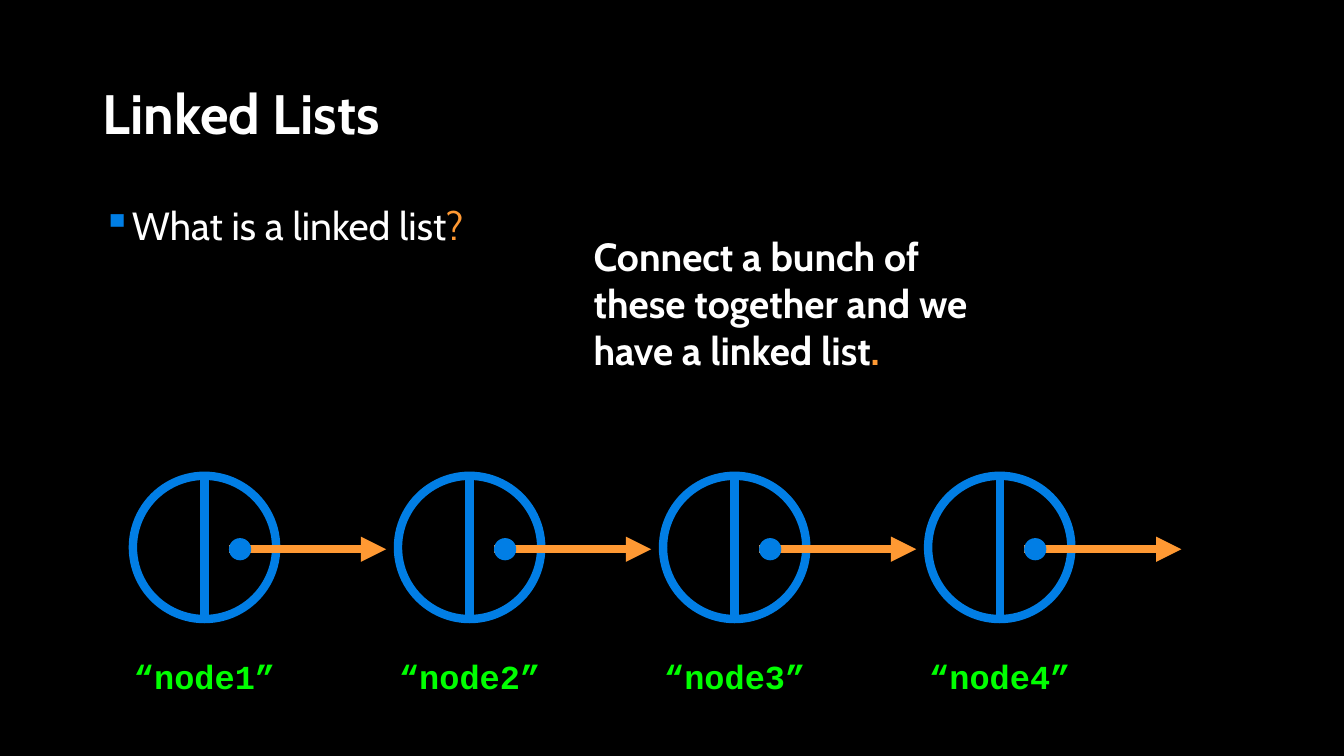
from dataclasses import dataclass

from lxml.etree import SubElement
from pptx import Presentation
from pptx.dml.color import RGBColor
from pptx.enum.shapes import MSO_CONNECTOR, MSO_SHAPE
from pptx.enum.text import MSO_ANCHOR, PP_ALIGN
from pptx.oxml.ns import qn
from pptx.util import Cm, Pt


@dataclass(frozen=True)
class Theme:
    """Colours, fonts and sizes of the slide."""
    background: str = "000000"
    text: str = "FFFFFF"
    accent: str = "FF9933"
    node: str = "017EE5"
    bullet: str = "007EE5"
    label: str = "00FF00"
    font: str = "Cabin"
    code_font: str = "Courier New"
    title_size: float = 39.6
    body_size: float = 28
    label_size: float = 24
    stroke: float = 6


THEME = Theme()


def add_text(slide, box, runs, *, size, font=THEME.font, bold=False, wrap=True,
             anchor=MSO_ANCHOR.TOP, align=PP_ALIGN.LEFT, line_spacing=None):
    """Add a text box of (text, colour) runs and return its paragraph."""
    frame = slide.shapes.add_textbox(*map(Cm, box)).text_frame
    frame.word_wrap = wrap
    frame.vertical_anchor = anchor
    paragraph = frame.paragraphs[0]
    paragraph.alignment = align
    paragraph.line_spacing = line_spacing
    for text, color in runs:
        run = paragraph.add_run()
        run.text = text
        run.font.name = font
        run.font.size = Pt(size)
        run.font.bold = bold
        run.font.color.rgb = RGBColor.from_string(color)
    return paragraph


def add_bullet(paragraph, character, color, indent):
    """Give a paragraph a coloured bullet with a hanging indent."""
    properties = paragraph._p.get_or_add_pPr()
    properties.set("marL", str(Cm(indent)))
    properties.set("indent", str(-Cm(indent)))
    bullet_color = SubElement(properties, qn("a:buClr"))
    SubElement(bullet_color, qn("a:srgbClr")).set("val", color)
    SubElement(properties, qn("a:buChar")).set("char", character)


def add_circle(slide, left, top, diameter, *, fill=None, line=None):
    """Add a circle that is filled or outlined."""
    circle = slide.shapes.add_shape(
        MSO_SHAPE.OVAL, Cm(left), Cm(top), Cm(diameter), Cm(diameter))
    circle.shadow.inherit = False
    if fill:
        circle.fill.solid()
        circle.fill.fore_color.rgb = RGBColor.from_string(fill)
    else:
        circle.fill.background()
    if line:
        circle.line.color.rgb = RGBColor.from_string(line)
        circle.line.width = Pt(THEME.stroke)
    else:
        circle.line.fill.background()


def add_line(slide, start, end, color, arrow=False):
    """Add a straight line, with an arrowhead at its end if asked."""
    connector = slide.shapes.add_connector(
        MSO_CONNECTOR.STRAIGHT, *map(Cm, start + end))
    connector.line.color.rgb = RGBColor.from_string(color)
    connector.line.width = Pt(THEME.stroke)
    if arrow:
        outline = connector.line._get_or_add_ln()
        SubElement(outline, qn("a:tailEnd")).set("type", "triangle")
    SubElement(connector._element.spPr, qn("a:effectLst"))


def add_node(slide, left, top, diameter, name):
    """Draw one list node with its divider, pointer and name."""
    center = left + diameter / 2
    pointer_left, pointer_y = left + 2.42, top + 1.85
    dot = 0.56
    add_circle(slide, left, top, diameter, line=THEME.node)
    add_line(slide, (center, top), (center, top + diameter), THEME.node)
    add_line(slide, (pointer_left, pointer_y), (pointer_left + 3.96, pointer_y),
             THEME.accent, arrow=True)
    add_circle(slide, pointer_left, pointer_y - dot / 2, dot, fill=THEME.node)
    label_width = 4.09
    add_text(slide, (center - label_width / 2, top + 4.42, label_width, 1.27),
             [(f"“{name}”", THEME.label)], size=THEME.label_size,
             font=THEME.code_font, bold=True, wrap=False, align=PP_ALIGN.CENTER)


def add_linked_list(slide, left, top, names, *, diameter=3.61, pitch=6.68):
    """Draw the nodes in a row at an equal pitch."""
    for index, name in enumerate(names):
        add_node(slide, left + index * pitch, top, diameter, name)


def add_heading(slide, left, top, width):
    """Place the title and the question under it."""
    add_text(slide, (left, top, width, 1.83), [("Linked Lists", THEME.text)],
             size=THEME.title_size, bold=True, anchor=MSO_ANCHOR.MIDDLE,
             line_spacing=0.9)
    question = add_text(
        slide, (left, top + 3.05, width, 1.5),
        [("What is a linked list", THEME.text), ("?", THEME.accent)],
        size=THEME.body_size, line_spacing=0.9)
    add_bullet(question, "▪", THEME.bullet, 0.63)


def add_explanation(slide, box):
    """Place the sentence that answers the question."""
    add_text(slide, box,
             [("Connect a bunch of these together and we have a linked list",
               THEME.text), (".", THEME.accent)],
             size=THEME.body_size, bold=True)


def main():
    """Build the slide and save it."""
    presentation = Presentation()
    presentation.slide_width, presentation.slide_height = Cm(33.87), Cm(19.05)
    slide = presentation.slides.add_slide(presentation.slide_layouts[6])
    slide.background.fill.solid()
    slide.background.fill.fore_color.rgb = RGBColor.from_string(THEME.background)
    add_heading(slide, 2.34, 2.03, 29.21)
    add_explanation(slide, (14.71, 5.72, 11, 3.84))
    add_linked_list(slide, 3.35, 11.99, ["node1", "node2", "node3", "node4"])
    presentation.save("out.pptx")


if __name__ == "__main__":
    main()
